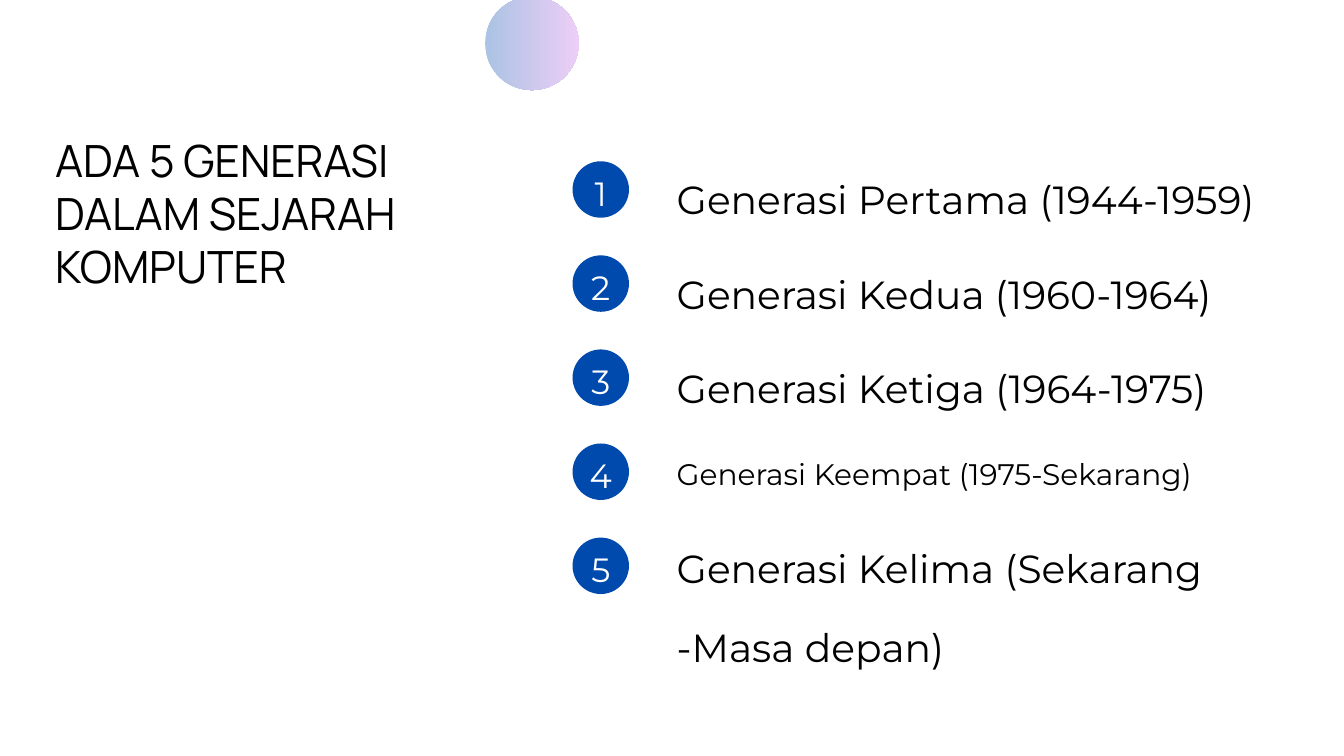
import pptx
import pptx.util
import pptx.dml.color
import pptx.enum.shapes
import pptx.enum.text
import lxml.etree
from dataclasses import dataclass

TITLE = "ADA 5 GENERASI DALAM SEJARAH KOMPUTER"
# text, type size, (top, width, height) of its box
ROWS = [
    ("Generasi Pertama (1944-1959)", 42, (214, 881, 339)),
    ("Generasi Kedua (1960-1964)", 42, (355, 801, 222)),
    ("Generasi Ketiga (1964-1975)", 42, (495, 801, 222)),
    ("Generasi Keempat (1975-Sekarang)", 31.8, (643, 881, 169)),
    ("Generasi Kelima (Sekarang -Masa depan)", 42, (764, 801, 455)),
]


@dataclass
class Theme:
    head: str = "Manrope"
    body: str = "Montserrat"
    ink: str = "000000"
    paper: str = "FFFFFF"
    blue: str = "004AAD"
    pink: str = "CB6CE6"
    alpha: int = 32
    title: float = 47.5
    title_gap: float = 57
    num: float = 36
    num_gap: float = 56.5


T = Theme()
PX = 9144  # 100 px to the inch
DOT_X, DOT_Y, STEP, DOT = 852, 240, 140, 84
NUM_X, NUM_W, NUM_H = 864, 60, 73
TEXT_X = 1007


def rgb(tone):
    return pptx.dml.color.RGBColor.from_string(tone)


def px(*nums):
    return [n * PX for n in nums]


def write(shape, text, size, gap, tone=T.ink, font=T.body, align="LEFT"):
    frame = shape.text_frame
    frame.text = text
    frame.word_wrap = True
    frame.auto_size = pptx.enum.text.MSO_AUTO_SIZE.NONE
    frame.vertical_anchor = pptx.enum.text.MSO_ANCHOR.TOP
    frame.margin_left = frame.margin_right = 0
    frame.margin_top = frame.margin_bottom = 0
    para = frame.paragraphs[0]
    para.alignment = getattr(pptx.enum.text.PP_ALIGN, align)
    para.line_spacing = pptx.util.Pt(gap)
    face = para.runs[0].font
    face.name, face.size = font, pptx.util.Pt(size)
    face.color.rgb = rgb(tone)


def disc(shapes, x, y, size):
    oval = shapes.add_shape(pptx.enum.shapes.MSO_SHAPE.OVAL, *px(x, y, size, size))
    oval.shadow.inherit = False
    oval.line.fill.background()
    return oval


def blend(fill, tones):
    """Fill left to right with see-through tones."""
    fill.gradient()
    fill.gradient_angle = 0
    for stop, tone in zip(fill.gradient_stops, tones):
        stop.color.rgb = rgb(tone)
    tag = pptx.oxml.ns.qn("a:alpha")
    for node in fill._xPr.iter(pptx.oxml.ns.qn("a:srgbClr")):
        lxml.etree.SubElement(node, tag).set("val", str(T.alpha * 1000))


def main():
    deck = pptx.Presentation()
    deck.slide_width, deck.slide_height = px(2000, 1125)
    slide = deck.slides.add_slide(deck.slide_layouts[5])
    slide.background.fill.solid()
    slide.background.fill.fore_color.rgb = rgb(T.paper)
    shapes = slide.shapes

    head = shapes.title
    head.left, head.top, head.width, head.height = px(82, 198, 699, 322)
    write(head, TITLE, T.title, T.title_gap, font=T.head)

    blend(disc(shapes, 722, -5, 139).fill, (T.blue, T.pink))

    for i, (text, size, (top, wide, high)) in enumerate(ROWS):
        y = DOT_Y + i * STEP
        label = shapes.add_textbox(*px(TEXT_X, top, wide, high))
        write(label, text, size, size * 2)
        dot = disc(shapes, DOT_X, y, DOT)
        dot.fill.solid()
        dot.fill.fore_color.rgb = rgb(T.blue)
        num = shapes.add_textbox(*px(NUM_X, y - 1, NUM_W, NUM_H))
        write(num, str(i + 1), T.num, T.num_gap, T.paper, align="CENTER")

    deck.save("out.pptx")


if __name__ == "__main__":
    main()
